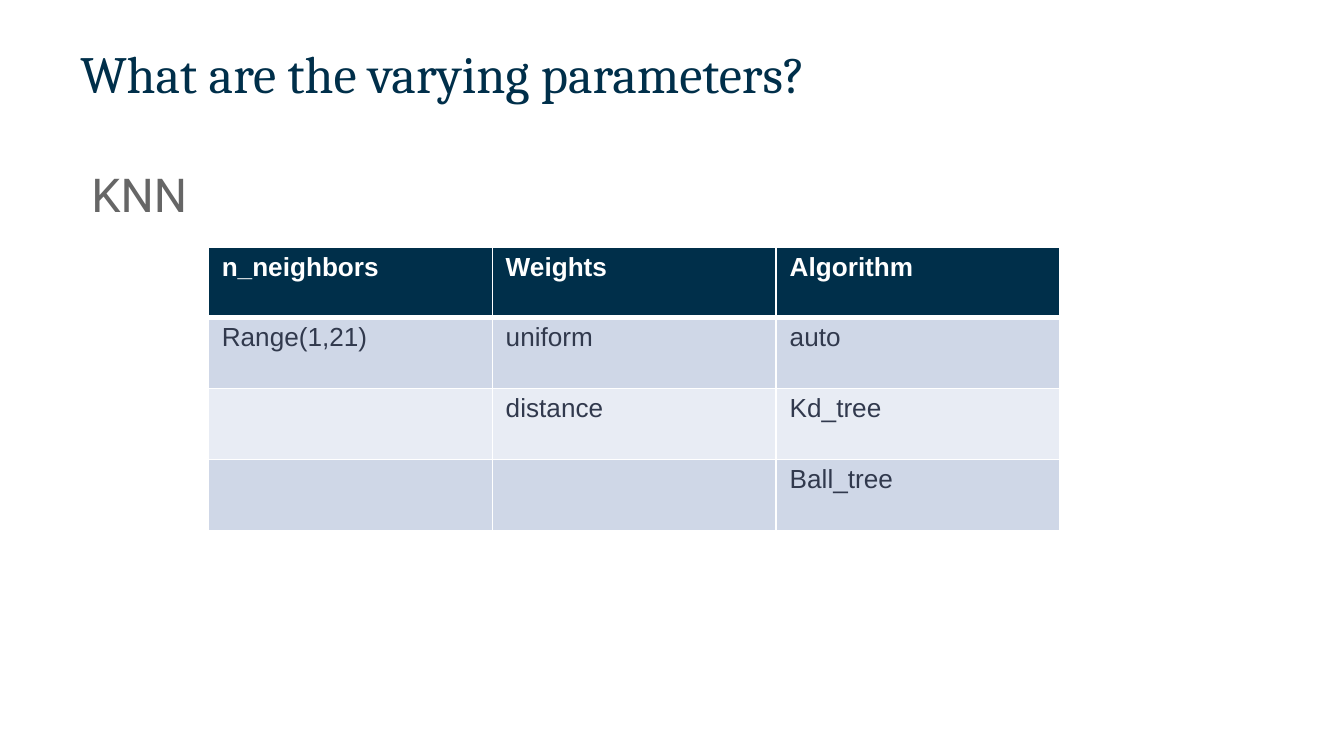
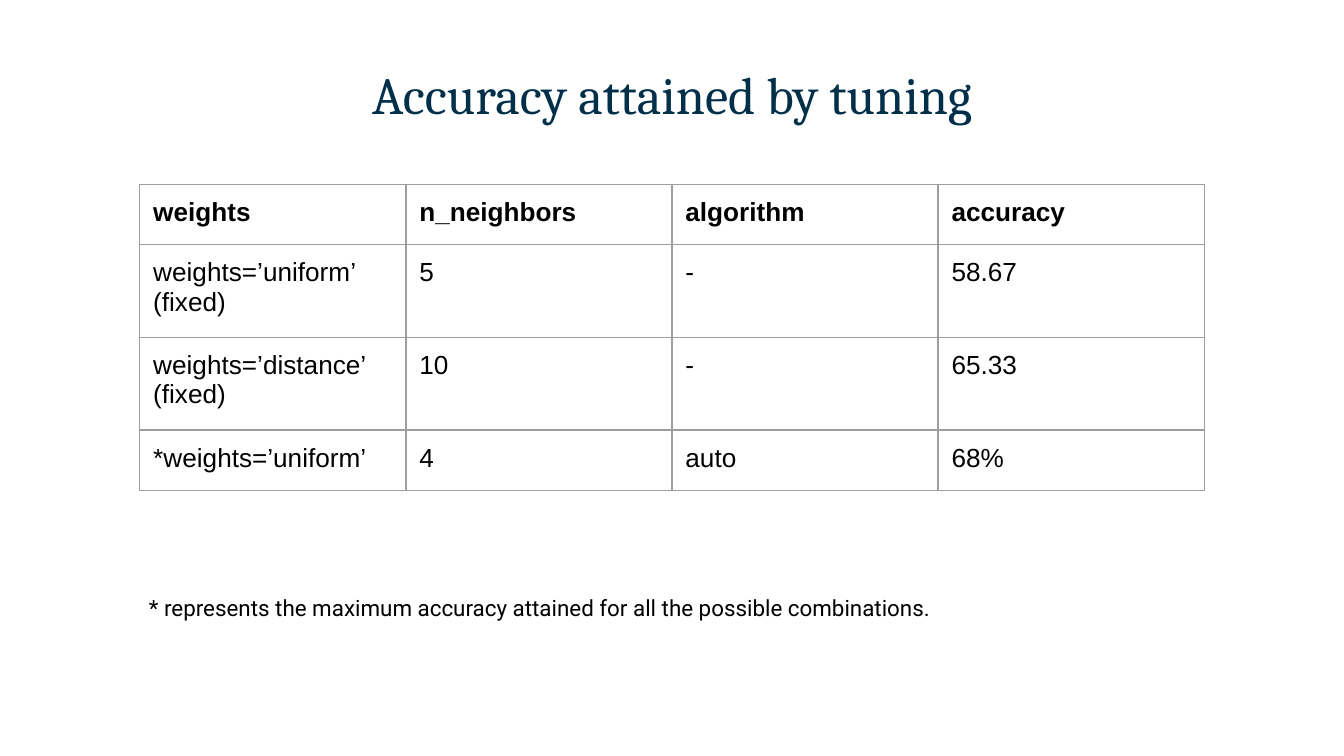
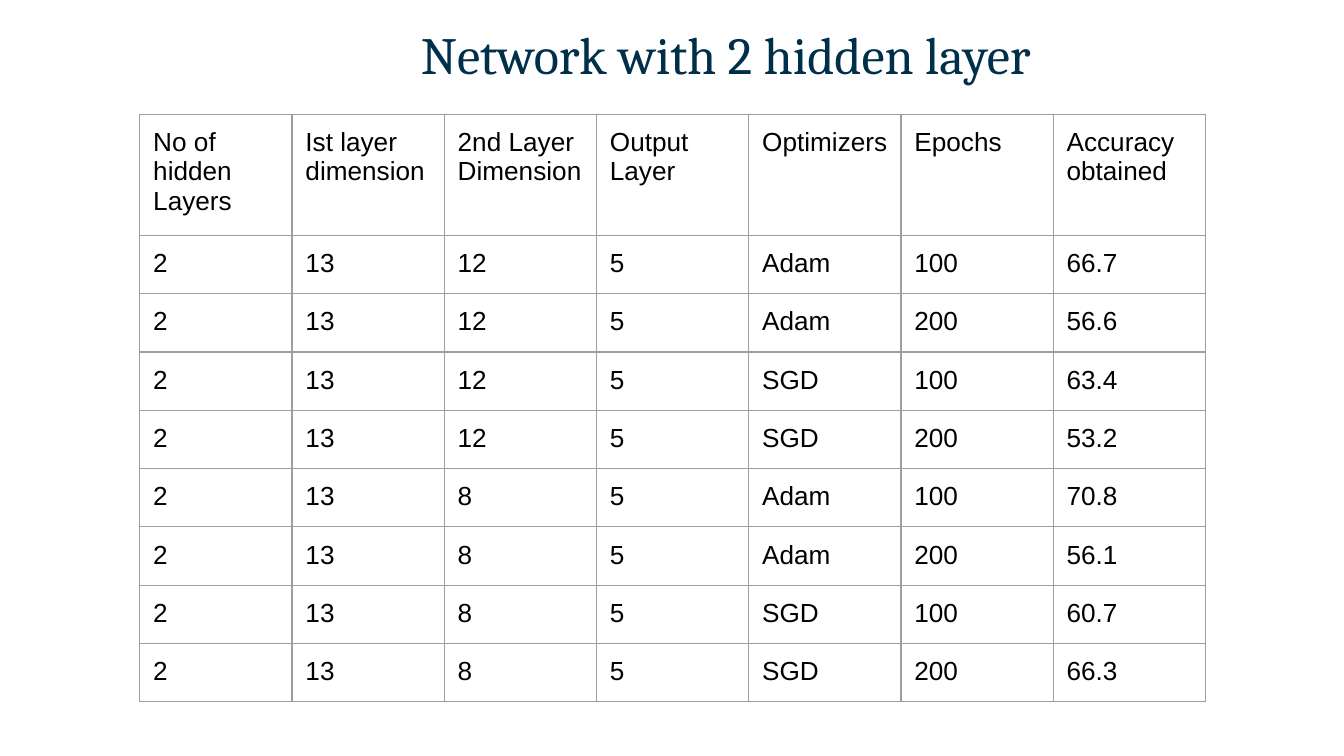
from dataclasses import dataclass
from itertools import product

from pptx import Presentation
from pptx.dml.color import RGBColor
from pptx.enum.text import MSO_ANCHOR, PP_ALIGN
from pptx.oxml.ns import qn
from pptx.util import Inches, Pt
from lxml import etree

LEFT, CENTER = PP_ALIGN.LEFT, PP_ALIGN.CENTER
TOP, MIDDLE = MSO_ANCHOR.TOP, MSO_ANCHOR.MIDDLE


@dataclass(frozen=True)
class Theme:
    navy: str = "002F4A"
    gray: str = "666666"
    slate: str = "31394D"
    black: str = "000000"
    white: str = "FFFFFF"
    rule: str = "9E9E9E"
    bands: tuple = ("CFD7E7", "E8ECF4")
    serif: str = "Cambria"
    sans: str = "Roboto"
    grid: str = "Arial"
    title: int = 28
    head: int = 25
    cell: int = 14
    note: int = 12


THEME = Theme()


def style(par, face, size, color, bold=False):
    font = par.font
    font.name, font.size, font.bold = face, Pt(size), bold
    font.color.rgb = RGBColor.from_string(color)


def add_text(slide, text, box, face, size, color, pad=(0.1, 0.05),
             align=LEFT, anchor=TOP, lead=None):
    frame = slide.shapes.add_textbox(*map(Inches, box)).text_frame
    frame.word_wrap = True
    frame.vertical_anchor = anchor
    frame.margin_left, frame.margin_top = map(Inches, pad)
    frame.text = text
    par = frame.paragraphs[0]
    par.alignment = align
    if lead:
        par.line_spacing = lead
    style(par, face, size, color)


def add_title(slide, text, box, align=CENTER):
    add_text(slide, text, box, THEME.serif, THEME.title, THEME.navy,
             align=align, anchor=MIDDLE)


def add_edges(cell, color, widths):
    props = cell._tc.get_or_add_tcPr()
    for side, width in zip("LRTB", widths):
        line = etree.SubElement(props, qn(f"a:ln{side}"), w=str(Pt(width)))
        fill = etree.SubElement(line, qn("a:solidFill"))
        etree.SubElement(fill, qn("a:srgbClr"), val=color)


def add_grid(slide, rows, spot, width, heights, bold=False, banded=False):
    count = len(rows[0])
    table = slide.shapes.add_table(
        len(rows), count, *map(Inches, (*spot, width, sum(heights)))).table
    table.horz_banding = False
    for col in table.columns:
        col.width = Inches(width / count)
    for row, height in zip(table.rows, heights):
        row.height = Inches(height)
    for r, c in product(range(len(rows)), range(count)):
        cell = table.cell(r, c)
        cell.text = rows[r][c]
        cell.margin_left = cell.margin_right = Inches(0.1)
        cell.margin_top = cell.margin_bottom = Inches(0.04 if banded else 0.1)
        if banded:
            ink = THEME.slate if r else THEME.white
            shade = THEME.bands[(r - 1) % 2] if r else THEME.navy
            add_edges(cell, THEME.white,
                      (1, 1, 3 if r == 1 else 1, 1 if r else 3))
            cell.fill.solid()
            cell.fill.fore_color.rgb = RGBColor.from_string(shade)
        else:
            ink = THEME.black
            add_edges(cell, THEME.rule, (0.75,) * 4)
            cell.fill.background()
        for par in cell.text_frame.paragraphs:
            style(par, THEME.grid, THEME.cell, ink, bold and r == 0)


def add_params(slide):
    add_title(slide, "What are the varying parameters?",
              (0.5, 0.23, 9.06, 0.62), LEFT)
    add_text(slide, "KNN", (0.5, 1.12, 9, 4.12), THEME.sans, THEME.head,
             THEME.gray, pad=(0.18, 0.05), lead=1.15)
    rows = [
        ("n_neighbors", "Weights", "Algorithm"),
        ("Range(1,21)", "uniform", "auto"),
        ("", "distance", "Kd_tree"),
        ("", "", "Ball_tree"),
    ]
    add_grid(slide, rows, (1.55, 1.84), 6.34, [0.52] + [0.53] * 3,
             bold=True, banded=True)


def add_tuning(slide):
    add_title(slide, "Accuracy attained by tuning", (0.5, 0.23, 9, 0.94))
    rows = [
        ("weights", "n_neighbors", "algorithm", "accuracy"),
        ("weights=’uniform’ (fixed)", "5", "-", "58.67"),
        ("weights=’distance’\n(fixed)", "10", "-", "65.33"),
        ("*weights=’uniform’", "4", "auto", "68%"),
    ]
    add_grid(slide, rows, (1.04, 1.37), 7.92, [0.45, 0.69, 0.69, 0.45],
             bold=True)
    add_text(slide, "* represents the maximum accuracy attained for all "
             "the possible combinations.", (1.01, 4.12, 7.92, 0.61),
             THEME.sans, THEME.note, THEME.black, pad=(0.1, 0.3))


def add_network(slide):
    add_title(slide, "Network with 2 hidden layer", (0.9, 0.06, 9, 0.68))
    heads = ("No of hidden\nLayers", "Ist layer dimension",
             "2nd Layer Dimension", "Output Layer", "Optimizers", "Epochs",
             "Accuracy\nobtained")
    trials = product(("12", "8"), ("Adam", "SGD"), ("100", "200"))
    scores = ("66.7", "56.6", "63.4", "53.2", "70.8", "56.1", "60.7", "66.3")
    rows = [heads] + [("2", "13", size, "5", solver, epochs, score)
                      for (size, solver, epochs), score in zip(trials, scores)]
    add_grid(slide, rows, (1.04, 0.85), 7.93, [0.42] * len(rows))


def main():
    deck = Presentation()
    deck.slide_width, deck.slide_height = Inches(10), Inches(5.625)
    for build in (add_params, add_tuning, add_network):
        build(deck.slides.add_slide(deck.slide_layouts[6]))
    deck.save("out.pptx")


main()
